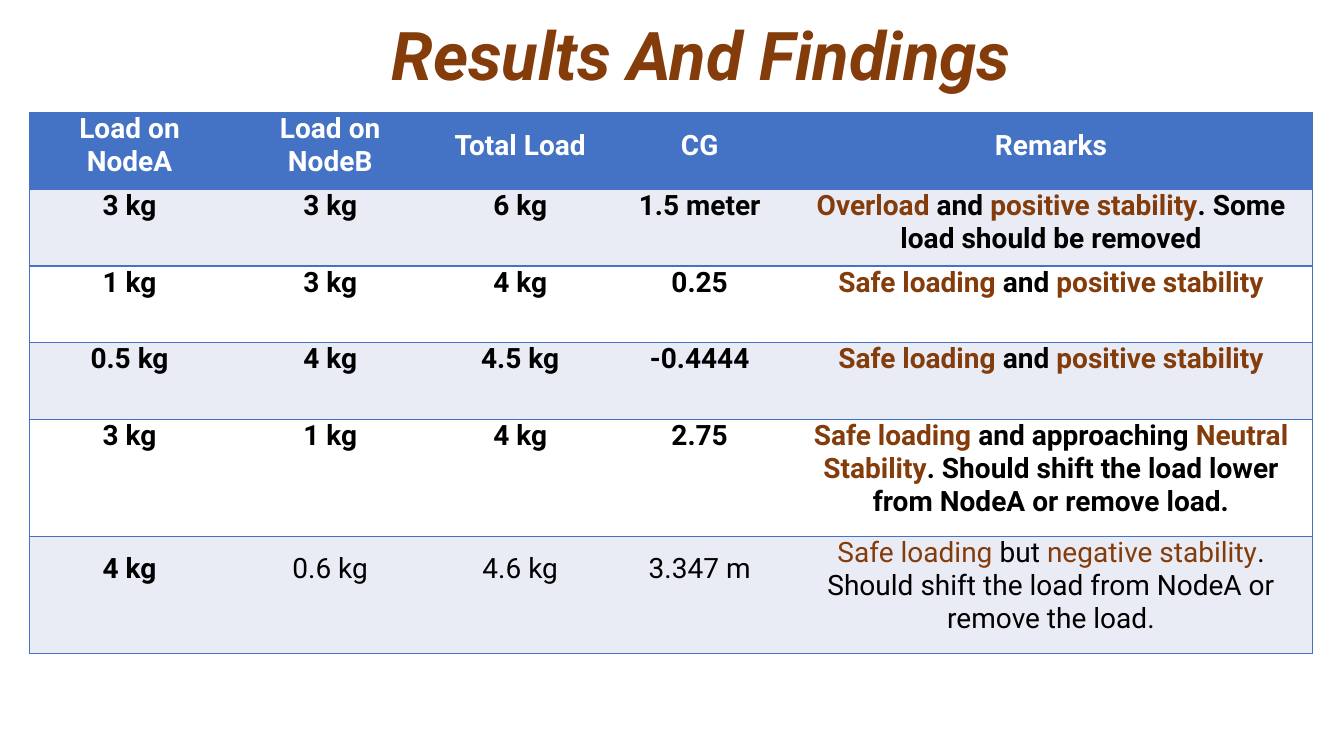
import pptx
import pptx.util
import pptx.dml.color
import pptx.enum.text
import pptx.oxml
import pptx.oxml.ns

PX = 9144
FONT = "Roboto"
PLAIN_STYLE = "{2D5ABB26-0587-4C30-8999-92F81FD0307C}"
COLORS = {
    "brown": "843C0B",
    "blue": "4472C4",
    "pale": "E9EBF5",
    "white": "FFFFFF",
    "black": "000000",
}
COLS = [199, 199, 178, 178, 519]
ROWS = [76, 76, 76, 76, 116, 116]
HEADS = ["Load on NodeA", "Load on NodeB", "Total Load", "CG", "Remarks"]
LOADS = [
    ["3 kg", "3 kg", "6 kg", "1.5 meter",
     "*Overload* and *positive stability*. Some load should be removed"],
    ["1 kg", "3 kg", "4 kg", "0.25",
     "*Safe loading *and *positive stability*"],
    ["0.5 kg", "4 kg", "4.5 kg", "-0.4444",
     "*Safe loading *and *positive stability*"],
    ["3 kg", "1 kg", "4 kg", "2.75",
     "*Safe loading *and approaching *Neutral Stability*"
     ". Should shift the load lower from NodeA or remove load."],
    ["4 kg", "0.6 kg", "4.6 kg", "3.347 m",
     "*Safe loading *but *negative stability*"
     ". Should shift the load from NodeA or remove the load."],
]


def px(n):
    """Turn px into EMU."""
    return pptx.util.Emu(n * PX)


def rgb(name):
    """Look up a named colour."""
    return pptx.dml.color.RGBColor.from_string(COLORS[name])


def write(frame, text, size=20, color="black", bold=True, italic=False, gap=1.0):
    """Write centred text, with the parts between asterisks in brown."""
    para = frame.paragraphs[0]
    para.alignment = pptx.enum.text.PP_ALIGN.CENTER
    para.line_spacing = gap
    for i, part in enumerate(text.split("*")):
        if part:
            run = para.add_run()
            run.text = part
            run.font.name = FONT
            run.font.size = pptx.util.Pt(size)
            run.font.bold = bold
            run.font.italic = italic
            run.font.color.rgb = rgb("brown" if i % 2 else color)


def edge(cell, sides):
    """Draw blue lines on the given sides of an unfilled cell."""
    props = cell._tc.get_or_add_tcPr()
    for side in sides:
        props.append(pptx.oxml.parse_xml(
            f'<a:ln{side} {pptx.oxml.ns.nsdecls("a")} w="12700"><a:solidFill>'
            f'<a:srgbClr val="{COLORS["blue"]}"/></a:solidFill></a:ln{side}>'))


def title(slide, x, y, w, h):
    """Place the slide title."""
    box = slide.shapes.add_textbox(px(x), px(y), px(w), px(h))
    box.text_frame.word_wrap = True
    box.text_frame.auto_size = pptx.enum.text.MSO_AUTO_SIZE.SHAPE_TO_FIT_TEXT
    write(box.text_frame, "Results And Findings", size=48, color="brown", italic=True)


def grid(slide, x, y):
    """Place the table of loads and remarks."""
    table = slide.shapes.add_table(
        len(ROWS), len(COLS), px(x), px(y), px(sum(COLS)), px(sum(ROWS))).table
    table.horz_banding = False
    table._tbl.tblPr[0].text = PLAIN_STYLE
    for col, wide in zip(table.columns, COLS):
        col.width = px(wide)
    last = len(COLS) - 1
    for r, (high, texts) in enumerate(zip(ROWS, [HEADS] + LOADS)):
        table.rows[r].height = px(high)
        head, foot = r == 0, r == len(ROWS) - 1
        fill = "blue" if head else "pale" if r % 2 else "white"
        for c, text in enumerate(texts):
            cell = table.cell(r, c)
            cell.margin_left = cell.margin_right = px(7)
            cell.margin_top = cell.margin_bottom = 0
            edge(cell, ["L"] * (c == 0) + ["R"] * (c == last) + ["T", "B"])
            cell.fill.solid()
            cell.fill.fore_color.rgb = rgb(fill)
            loose = (head and c > 1) or (foot and c < last)
            write(cell.text_frame, text, color="white" if head else "black",
                  bold=not foot or c == 0, gap=1.5 if loose else 1.0)


def main():
    """Build and save the slide."""
    deck = pptx.Presentation()
    deck.slide_width, deck.slide_height = px(1333), px(750)
    slide = deck.slides.add_slide(deck.slide_layouts[6])
    title(slide, 325, 8, 741, 91)
    grid(slide, 29, 112)
    deck.save("out.pptx")


if __name__ == "__main__":
    main()
